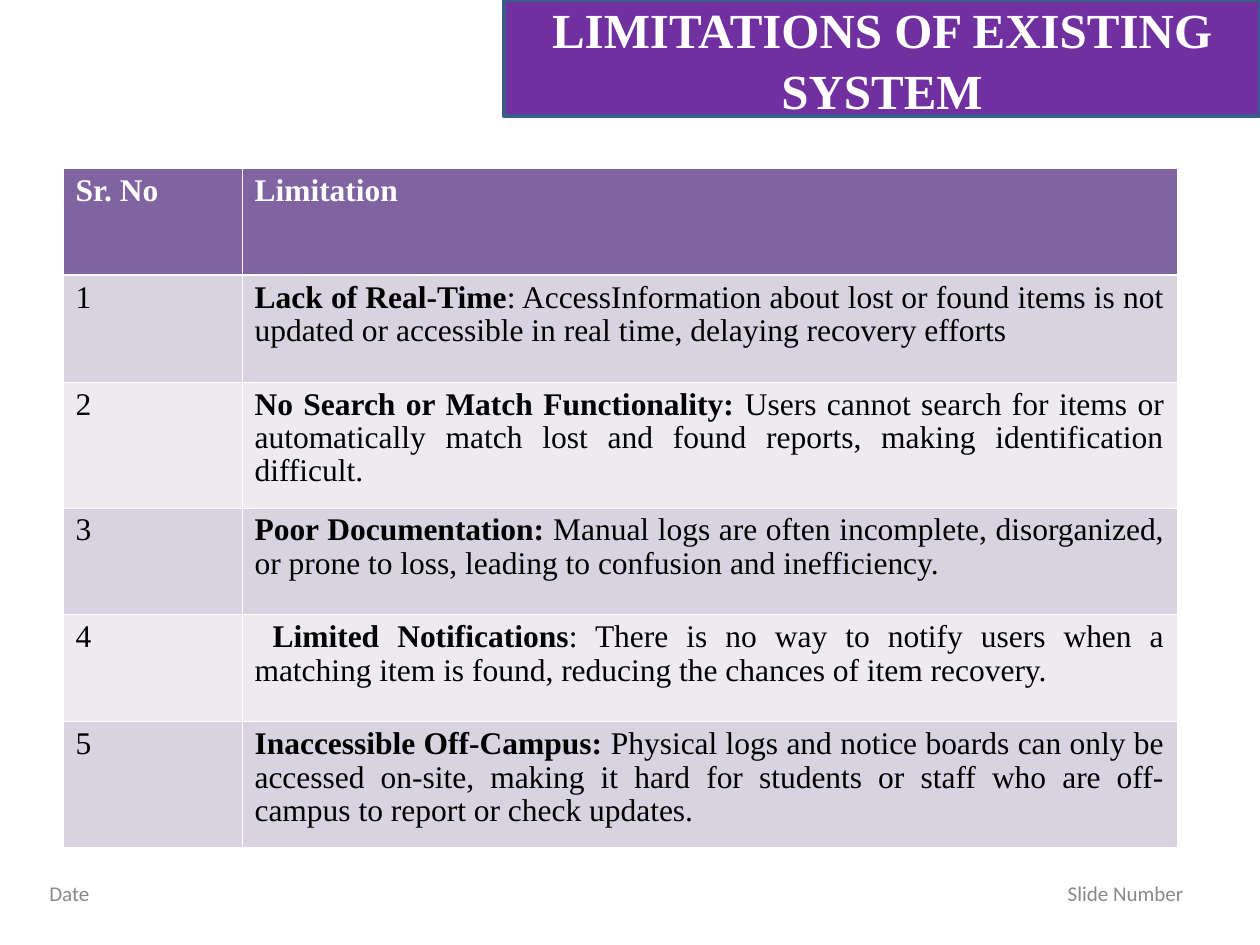
from lxml import etree
from pptx import Presentation
from pptx.dml.color import RGBColor
from pptx.enum.text import MSO_ANCHOR, MSO_AUTO_SIZE, PP_ALIGN
from pptx.oxml.ns import qn
from pptx.util import Pt

PX = 914400 // 126
MIDDLE = MSO_ANCHOR.MIDDLE
FIXED = MSO_AUTO_SIZE.NONE
CENTER, JUSTIFY = PP_ALIGN.CENTER, PP_ALIGN.JUSTIFY
SERIF, SANS = "Times New Roman", "Calibri"

TITLE = "LIMITATIONS OF EXISTING SYSTEM"
FOOTER = "Date\tSlide Number"
HEADS = ("Sr. No", "Limitation")
LIMITS = [
    ("", "Lack of Real-Time", ": AccessInformation about lost or found items is not "
     "updated or accessible in real time, delaying recovery efforts"),
    ("", "No Search or Match Functionality: ", "Users cannot search for items or "
     "automatically match lost and found reports, making identification difficult."),
    ("", "Poor Documentation: ", "Manual logs are often incomplete, disorganized, "
     "or prone to loss, leading to confusion and inefficiency."),
    (" ", "Limited Notifications", ": There is no way to notify users when a "
     "matching item is found, reducing the chances of item recovery."),
    ("", "Inaccessible Off-Campus: ", "Physical logs and notice boards can only be "
     "accessed on-site, making it hard for students or staff who are off-campus "
     "to report or check updates."),
]
COLS = (179, 935)
ROWS = (107, 107, 126, 107, 107, 126)
HEAD, BANDS = "8064A2", ("D8D3E0", "EDEAF0")
THIN, THICK = 0.45, 1.47


def paint(fill, color):
    fill.solid()
    fill.fore_color.rgb = RGBColor.from_string(color)


def style(para, face, size, color, align=None):
    para.alignment = align
    font = para.font
    font.name, font.size = face, Pt(size)
    font.color.rgb = RGBColor.from_string(color)


def edge(cell, widths):
    props = cell._tc.get_or_add_tcPr()
    for side, width in zip("LRTB", widths):
        line = etree.SubElement(props, qn("a:ln" + side), w=str(int(Pt(width))))
        fill = etree.SubElement(line, qn("a:solidFill"))
        etree.SubElement(fill, qn("a:srgbClr"), val="FFFFFF")


def add_title(slide):
    title = slide.shapes.title
    title.left, title.top, title.width, title.height = (n * PX for n in (504, 0, 756, 116))
    paint(title.fill, "7030A0")
    paint(title.line.fill, "385D8A")
    title.line.width = Pt(2)
    frame = title.text_frame
    frame.text = TITLE
    frame.auto_size, frame.vertical_anchor, frame.word_wrap = FIXED, MIDDLE, True
    para = frame.paragraphs[0]
    style(para, SERIF, 28, "FFFFFF", CENTER)
    para.font.bold = True
    para.line_spacing = 1.05


def add_grid(slide):
    box = (n * PX for n in (63, 168, sum(COLS), sum(ROWS)))
    grid = slide.shapes.add_table(len(ROWS), len(COLS), *box).table
    for col, width in zip(grid.columns, COLS):
        col.width = width * PX
    for row, height in zip(grid.rows, ROWS):
        row.height = height * PX
    body = [(("", "", str(num)), text) for num, text in enumerate(LIMITS, 1)]
    data = [[("", head, "") for head in HEADS]] + body
    for r, row in enumerate(data):
        for c, parts in enumerate(row):
            cell = grid.cell(r, c)
            edge(cell, (THIN, THIN, THICK if r == 1 else THIN, THICK if r == 0 else THIN))
            paint(cell.fill, BANDS[(r - 1) % 2] if r else HEAD)
            para = cell.text_frame.paragraphs[0]
            style(para, SERIF, 18, "000000" if r else "FFFFFF", JUSTIFY)
            para.line_spacing = 0.96
            for text, bold in zip(parts, (False, True, False)):
                if text:
                    run = para.add_run()
                    run.text, run.font.bold = text, bold


def add_footer(slide):
    box = slide.shapes.add_textbox(*(n * PX for n in (37, 861, 1187, 64)))
    frame = box.text_frame
    frame.word_wrap, frame.vertical_anchor = True, MIDDLE
    para = frame.paragraphs[0]
    para.text = FOOTER
    tabs = etree.SubElement(para._p.get_or_add_pPr(), qn("a:tabLst"))
    etree.SubElement(tabs, qn("a:tab"), pos=str(1134 * PX), algn="r")
    style(para, SANS, 12, "898989")


def main():
    """Build the slide on the limits of the existing system."""
    deck = Presentation()
    deck.slide_width, deck.slide_height = 1260 * PX, 945 * PX
    slide = deck.slides.add_slide(deck.slide_layouts[5])
    add_title(slide)
    add_footer(slide)
    add_grid(slide)
    deck.save("out.pptx")


if __name__ == "__main__":
    main()
